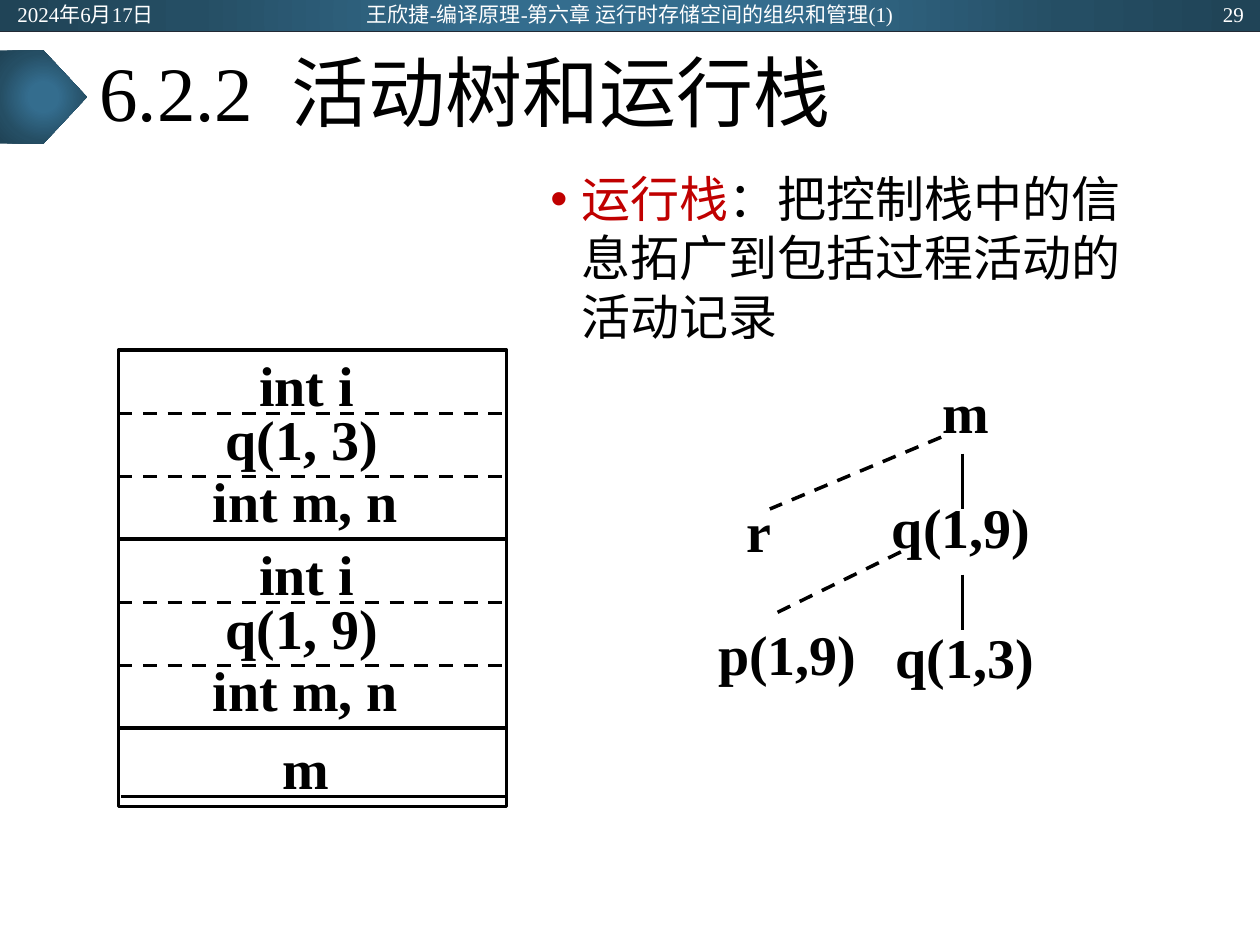
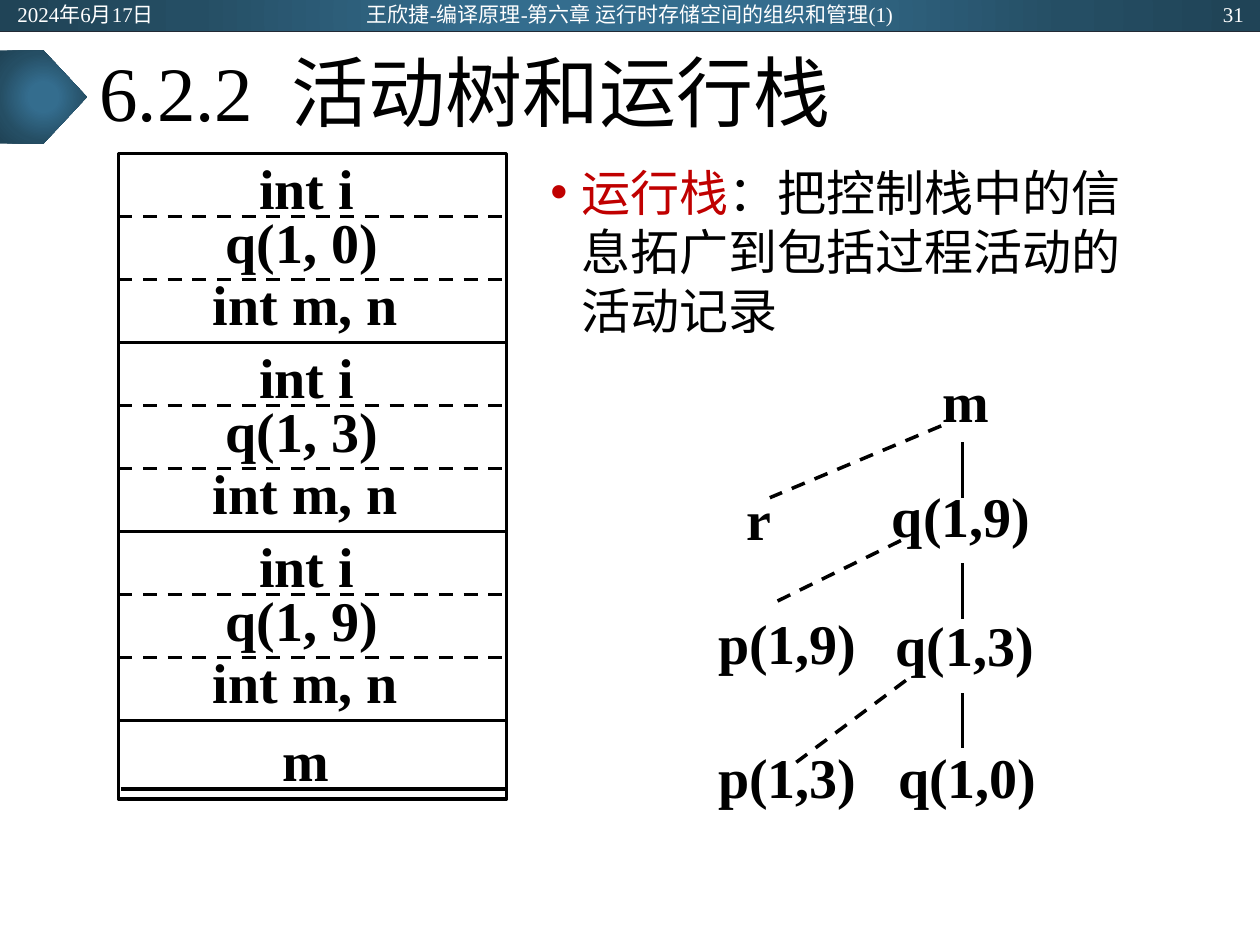
from lxml import etree
from pptx import Presentation
from pptx.dml.color import RGBColor
from pptx.enum.dml import MSO_LINE
from pptx.enum.shapes import MSO_CONNECTOR, MSO_SHAPE
from pptx.enum.text import MSO_ANCHOR, PP_ALIGN
from pptx.oxml import parse_xml
from pptx.oxml.ns import nsdecls, qn
from pptx.util import Inches, Pt

LEFT, CENTER, RIGHT, JUSTIFY = PP_ALIGN.LEFT, PP_ALIGN.CENTER, PP_ALIGN.RIGHT, PP_ALIGN.JUSTIFY
TOP, MIDDLE = MSO_ANCHOR.TOP, MSO_ANCHOR.MIDDLE
RECTANGLE, PENTAGON = MSO_SHAPE.RECTANGLE, MSO_SHAPE.PENTAGON
STRAIGHT, DASH = MSO_CONNECTOR.STRAIGHT, MSO_LINE.DASH

COLORS = {"ink": "000000", "accent": "C00000", "paper": "FFFFFF", "rule": "222A35"}
GRADIENT = [(0, "346D8E"), (23, "346D8E"), (69, "254E64"), (97, "204457")]
LATIN_FONT, CHINESE_FONT = "Times New Roman", "Noto Sans CJK SC"
WIDTH, HEIGHT = 10, 7.5

TITLE = ("6.2.2", "活动树和运行栈")
DATE = "2024年6月17日"
COURSE = "王欣捷-编译原理-第六章 运行时存储空间的组织和管理(1)"
DEFINITION = [("运行栈", "accent"), ("：把控制栈中的信息拓广到包括过程活动的活动记录", "ink")]

SLIDES = [
    {"number": "29", "body_top": 1.29, "stack_top": 2.78, "tree_top": 2.95,
     "calls": ["q(1, 3)", "q(1, 9)"], "levels": 3},
    {"number": "31", "body_top": 1.24, "stack_top": 1.22, "tree_top": 2.86,
     "calls": ["q(1, 0)", "q(1, 3)", "q(1, 9)"], "levels": 4},
]

TREE_LEVELS = [
    {"nodes": [("m", 7.38, 0)], "edges": []},
    {"nodes": [("r", 5.83, 0.94), ("q(1,9)", 6.98, 0.91)],
     "edges": [(7.64, 0.65, 7.64, 1.09, None), (7.47, 0.52, 6.11, 1.09, DASH)]},
    {"nodes": [("p(1,9)", 5.6, 1.92), ("q(1,3)", 7.01, 1.94)],
     "edges": [(7.64, 1.61, 7.64, 2.05, None), (7.15, 1.43, 6.11, 1.94, DASH)]},
    {"nodes": [("p(1,3)", 5.6, 2.98), ("q(1,0)", 7.03, 2.98)],
     "edges": [(7.64, 2.64, 7.64, 3.08, None), (7.19, 2.54, 6.32, 3.19, DASH)]},
]

STACK_LEFT, STACK_WIDTH = 0.94, 3.08
ROW_HEIGHT, ROWS = 0.5, 3
RECORD_HEIGHT = ROW_HEIGHT * ROWS
MAIN_HEIGHT = 0.62
FIELD_PLACES = [(1.96, -0.05, 0.96), (1.69, 0.38, 1.41), (1.59, 0.87, 1.68)]


def color(name):
    return RGBColor.from_string(COLORS[name])


def add_text(slide, runs, left, top, width, height, size=32, ink="ink", bold=False,
             align=LEFT, anchor=TOP, wrap=True, bullet=False, line_spacing=None,
             top_inset=0.05):
    box = slide.shapes.add_textbox(Inches(left), Inches(top), Inches(width), Inches(height))
    frame = box.text_frame
    frame.word_wrap = wrap
    frame.vertical_anchor = anchor
    frame.margin_top = Inches(top_inset)
    paragraph = frame.paragraphs[0]
    paragraph.alignment = align
    if line_spacing:
        paragraph.line_spacing = line_spacing
    if bullet:
        properties = paragraph._p.get_or_add_pPr()
        properties.set("marL", str(Inches(0.25)))
        properties.set("indent", str(-Inches(0.25)))
        etree.SubElement(properties, qn("a:buFont")).set("typeface", "Arial")
        etree.SubElement(properties, qn("a:buChar")).set("char", "•")
    for text, name in [(runs, ink)] if isinstance(runs, str) else runs:
        run = paragraph.add_run()
        run.text = text
        run.font.size = Pt(size)
        run.font.bold = bold
        run.font.name = LATIN_FONT
        run.font.color.rgb = color(name)
        etree.SubElement(run.font._element, qn("a:ea")).set("typeface", CHINESE_FONT)
    return paragraph


def add_line(slide, start_x, start_y, end_x, end_y, width=2, ink="ink", dash=None):
    line = slide.shapes.add_connector(
        STRAIGHT, Inches(start_x), Inches(start_y), Inches(end_x), Inches(end_y))
    line.line.color.rgb = color(ink)
    line.line.width = Pt(width)
    if dash:
        line.line.dash_style = dash
    etree.SubElement(line._element.spPr, qn("a:effectLst"))


def add_box(slide, kind, left, top, width, height):
    shape = slide.shapes.add_shape(
        kind, Inches(left), Inches(top), Inches(width), Inches(height))
    shape.shadow.inherit = False
    return shape


def add_gradient_box(slide, kind, left, top, width, height):
    shape = add_box(slide, kind, left, top, width, height)
    shape.line.fill.background()
    stops = "".join(f'<a:gs pos="{share * 1000}"><a:srgbClr val="{value}"/></a:gs>'
                    for share, value in GRADIENT)
    shape._element.spPr.insert(2, parse_xml(
        f'<a:gradFill {nsdecls("a")} rotWithShape="1"><a:gsLst>{stops}</a:gsLst>'
        '<a:path path="circle"><a:fillToRect l="50000" t="50000" r="50000" b="50000"/>'
        '</a:path></a:gradFill>'))


def add_outline(slide, top, height):
    shape = add_box(slide, RECTANGLE, STACK_LEFT, top, STACK_WIDTH, height)
    shape.fill.background()
    shape.line.color.rgb = color("ink")
    shape.line.width = Pt(2)


def add_frame(slide, number):
    add_gradient_box(slide, RECTANGLE, 0, 0, WIDTH, 0.25)
    add_line(slide, 0, 0.25, WIDTH, 0.25, width=0.5, ink="rule")
    add_gradient_box(slide, PENTAGON, 0, 0.4, 0.69, 0.74)
    section, heading = TITLE
    title = add_text(slide, [(section, "ink"), (" ", "ink"), (heading, "ink")],
                     0.69, 0.25, 8.62, 1.04, size=44, anchor=MIDDLE, line_spacing=0.9)
    title.runs[1].font._element.set("spc", "1100")
    for text, left, width, align in [(DATE, 0.04, 2.25, LEFT), (COURSE, 2.58, 4.84, CENTER),
                                     (number, 7.72, 2.25, RIGHT)]:
        add_text(slide, text, left, 0.01, width, 0.2, size=12, ink="paper",
                 align=align, anchor=MIDDLE)


def add_stack(slide, top, calls):
    for index, call in enumerate(calls):
        record_top = top + index * RECORD_HEIGHT
        add_outline(slide, record_top, RECORD_HEIGHT)
        for row in range(1, ROWS):
            y = record_top + row * ROW_HEIGHT
            add_line(slide, STACK_LEFT, y, 3.99, y, dash=DASH)
        for text, (left, drop, width) in zip(["int i", call, "int m, n"], FIELD_PLACES):
            add_text(slide, text, left, record_top + drop, width, 0.64,
                     bold=True, align=JUSTIFY, wrap=False)
    main_top = top + len(calls) * RECORD_HEIGHT
    add_outline(slide, main_top, MAIN_HEIGHT)
    add_text(slide, "m", 0.96, main_top - 0.05, 2.93, 0.77,
             bold=True, align=CENTER, top_inset=0.09)
    add_line(slide, 0.96, main_top + 0.54, STACK_LEFT + STACK_WIDTH, main_top + 0.54)


def add_tree(slide, top, levels):
    for level in TREE_LEVELS[:levels]:
        for text, left, drop in level["nodes"]:
            add_text(slide, text, left, top + drop, 1.41 if len(text) > 1 else 0.72, 0.7,
                     bold=True, align=JUSTIFY)
        for start_x, start_y, end_x, end_y, dash in level["edges"]:
            add_line(slide, start_x, top + start_y, end_x, top + end_y, dash=dash)


def main():
    presentation = Presentation()
    presentation.slide_width, presentation.slide_height = Inches(WIDTH), Inches(HEIGHT)
    for content in SLIDES:
        slide = presentation.slides.add_slide(presentation.slide_layouts[6])
        add_frame(slide, content["number"])
        add_text(slide, DEFINITION, 4.27, content["body_top"], 5.04, 4.5, size=28, bullet=True)
        add_stack(slide, content["stack_top"], content["calls"])
        add_tree(slide, content["tree_top"], content["levels"])
    presentation.save("out.pptx")


if __name__ == "__main__":
    main()
